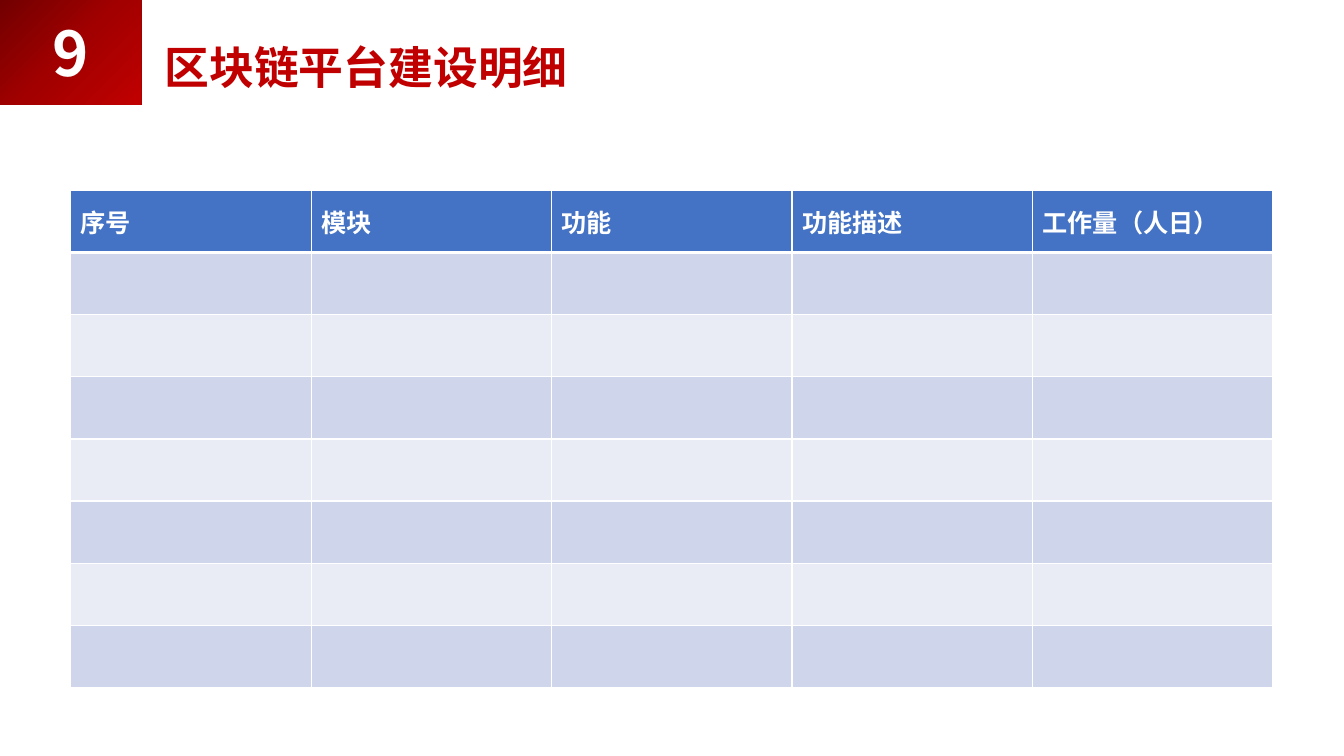
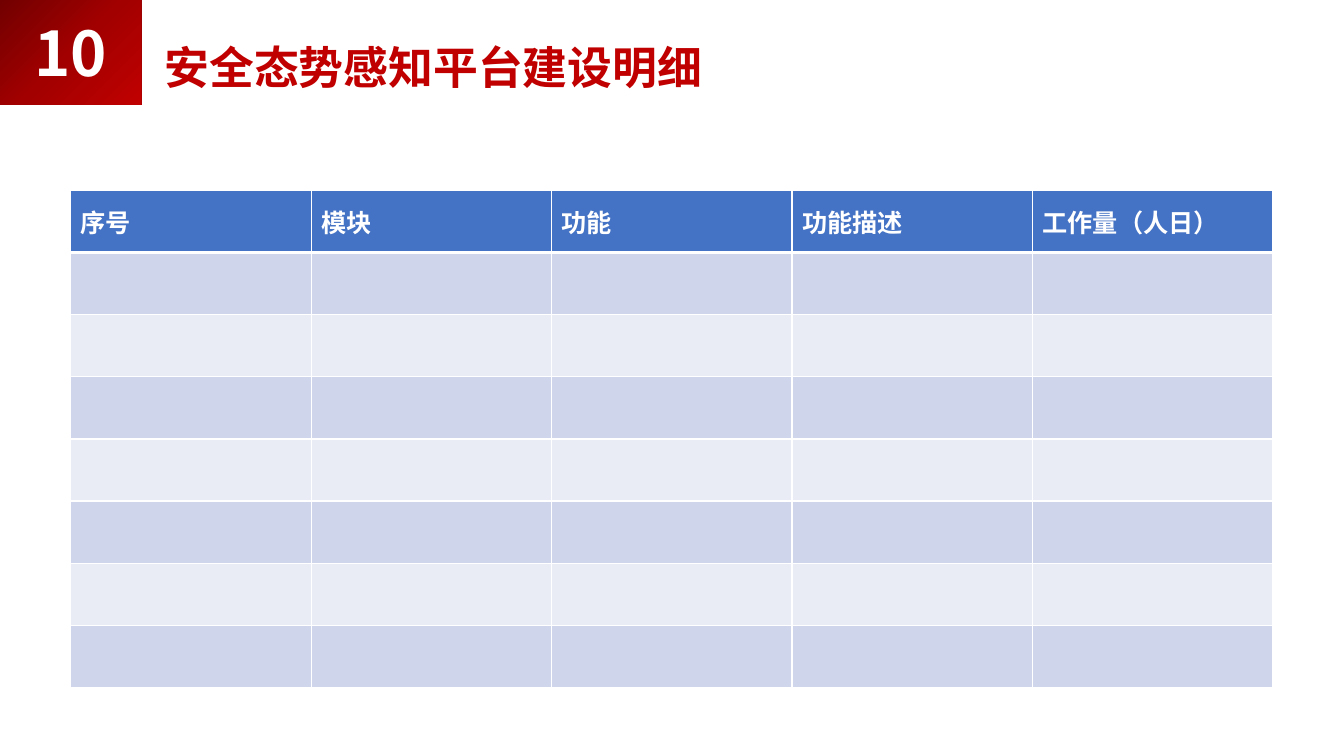
from copy import deepcopy

from lxml import etree
from pptx import Presentation
from pptx import util as u
from pptx.dml import color
from pptx.enum import shapes, text
from pptx.oxml import ns

# Shared look
FONT = "Noto Sans CJK SC"
WHITE, RED, BLUE = "FFFFFF", "C00000", "4472C4"
BANDS = ("CFD5EA", "E9EBF5")
BADGE_STOPS = ((0, "720000"), (0.5, "A20000"), (1, RED))
TITLE_ONLY = 5

# Shared table content
HEADERS = ("序号", "模块", "功能", "功能描述", "工作量（人日）")
BODY_ROWS = 7

# Badge number, title, title width in cm
SLIDES = (
    ("9", "区块链平台建设明细", 12.32),
    ("10", "安全态势感知平台建设明细", 14.43),
)


def rgb(hex_color):
    return color.RGBColor.from_string(hex_color)


def set_attributes(target, values):
    for name, value in values.items():
        setattr(target, name, value)


def write_text(frame, words, size, hex_color, **paragraph_format):
    """Fill the first paragraph with one bold run."""
    paragraph = frame.paragraphs[0]
    set_attributes(paragraph, paragraph_format)
    run = paragraph.add_run()
    run.text = words
    set_attributes(run.font, {"name": FONT, "size": u.Pt(size), "bold": True})
    run.font.color.rgb = rgb(hex_color)
    east_asian = etree.SubElement(run._r.get_or_add_rPr(), ns.qn("a:ea"))
    east_asian.set("typeface", FONT)


def fill_gradient(shape, stops):
    """Diagonal gradient from the top left to the bottom right."""
    shape.fill.gradient()
    shape.fill.gradient_angle = 315
    stop_list = shape._element.spPr.find(".//" + ns.qn("a:gsLst"))
    stop_list.insert(1, deepcopy(stop_list[0]))
    for stop, (position, hex_color) in zip(shape.fill.gradient_stops, stops):
        stop.position = position
        stop.color.rgb = rgb(hex_color)


def add_badge(slide, number):
    badge = slide.shapes.add_shape(
        shapes.MSO_SHAPE.RECTANGLE, 0, 0, u.Cm(3.56), u.Cm(2.64))
    badge.shadow.inherit = False
    badge.line.fill.background()
    fill_gradient(badge, BADGE_STOPS)
    set_attributes(badge.text_frame, {
        "vertical_anchor": text.MSO_ANCHOR.MIDDLE,
        "margin_left": u.Cm(0.1), "margin_right": u.Cm(0.1),
        "margin_top": u.Cm(0.13), "margin_bottom": u.Cm(0.13),
    })
    write_text(badge.text_frame, number, 44, WHITE,
               alignment=text.PP_ALIGN.CENTER)


def format_title(slide, words, width):
    title = slide.shapes.title
    set_attributes(title, {
        "left": u.Cm(3.89), "top": u.Cm(0.89),
        "width": u.Cm(width), "height": u.Cm(1.75),
    })
    set_attributes(title.text_frame, {
        "vertical_anchor": text.MSO_ANCHOR.MIDDLE,
        "auto_size": text.MSO_AUTO_SIZE.NONE,
        "word_wrap": True,
    })
    write_text(title.text_frame, words, 32, RED,
               alignment=text.PP_ALIGN.LEFT, line_spacing=0.9)


def set_borders(cell, **widths):
    """White borders, 1 pt unless a side is given another width."""
    properties = cell._tc.get_or_add_tcPr()
    for index, side in enumerate(("lnL", "lnR", "lnT", "lnB")):
        line = etree.Element(ns.qn("a:" + side),
                             w=str(u.Pt(widths.get(side, 1))))
        fill = etree.SubElement(line, ns.qn("a:solidFill"))
        etree.SubElement(fill, ns.qn("a:srgbClr"), val=WHITE)
        properties.insert(index, line)


def add_detail_table(slide):
    table = slide.shapes.add_table(
        BODY_ROWS + 1, len(HEADERS),
        u.Cm(1.78), u.Cm(4.8), u.Cm(30.3), u.Cm(12.52)).table
    table.horz_banding = False
    for row_index, row in enumerate(table.rows):
        is_header = row_index == 0
        row_color = BLUE if is_header else BANDS[(row_index - 1) % 2]
        # The rule below the header is thicker
        widths = {0: {"lnB": 3}, 1: {"lnT": 3}}.get(row_index, {})
        for cell, header in zip(row.cells, HEADERS):
            cell.fill.solid()
            cell.fill.fore_color.rgb = rgb(row_color)
            cell.vertical_anchor = text.MSO_ANCHOR.MIDDLE
            set_borders(cell, **widths)
            if is_header:
                write_text(cell.text_frame, header, 18, WHITE)


def main():
    presentation = Presentation()
    set_attributes(presentation, {
        "slide_width": u.Cm(33.87), "slide_height": u.Cm(19.05)})
    for number, title, title_width in SLIDES:
        slide = presentation.slides.add_slide(
            presentation.slide_layouts[TITLE_ONLY])
        add_badge(slide, number)
        format_title(slide, title, title_width)
        add_detail_table(slide)
    presentation.save("out.pptx")


if __name__ == "__main__":
    main()
